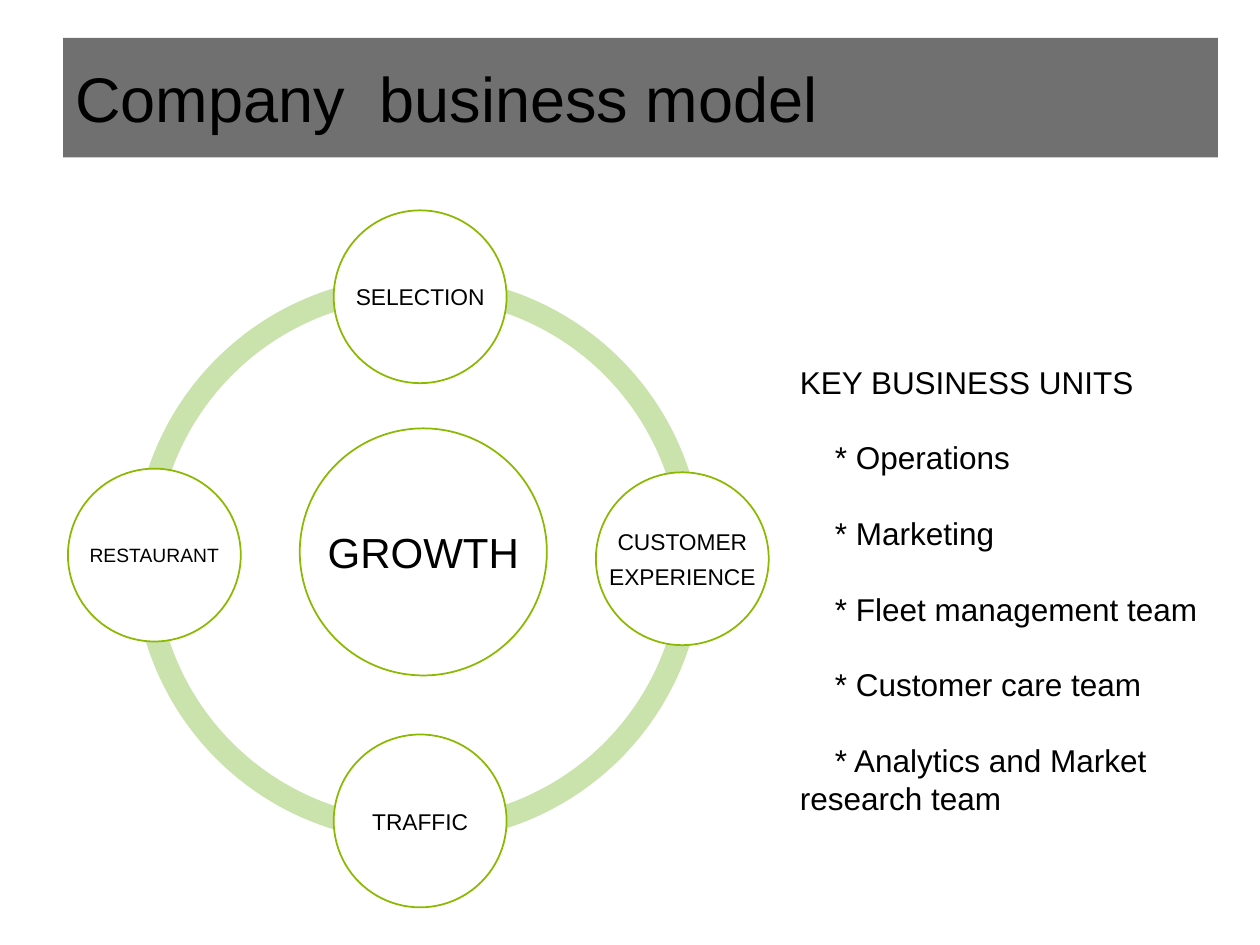
"""Build the company business model slide: a growth cycle and a list of units."""
from pptx import Presentation
from pptx.dml.color import RGBColor
from pptx.enum.shapes import MSO_SHAPE
from pptx.enum.text import MSO_ANCHOR, PP_ALIGN
from pptx.util import Pt

RECTANGLE, OVAL, BLOCK_ARC = MSO_SHAPE.RECTANGLE, MSO_SHAPE.OVAL, MSO_SHAPE.BLOCK_ARC
MIDDLE = MSO_ANCHOR.MIDDLE
LEFT, CENTER = PP_ALIGN.LEFT, PP_ALIGN.CENTER
BLACK = RGBColor(0x00, 0x00, 0x00)
WHITE = RGBColor(0xFF, 0xFF, 0xFF)
GRAY = RGBColor(0x70, 0x70, 0x70)
GREEN = RGBColor(0x8B, 0xB9, 0x00)
PALE_GREEN = RGBColor(0xCA, 0xE2, 0xAB)


def add_filled(kind, left, top, width, height, fill, line=None):
    shape = page.shapes.add_shape(kind, Pt(left), Pt(top), Pt(width), Pt(height))
    shape.shadow.inherit = False
    shape.fill.solid()
    shape.fill.fore_color.rgb = fill
    if line is None:
        shape.line.fill.background()
    else:
        shape.line.color.rgb = line
        shape.line.width = Pt(1)
    return shape


def write_lines(frame, lines, size, align, gap=0):
    for index, line in enumerate(lines):
        para = frame.paragraphs[0] if index == 0 else frame.add_paragraph()
        para.text = line
        para.alignment = align
        para.space_after = Pt(gap)
        para.font.name = "Arial"
        para.font.size = Pt(size)
        para.font.color.rgb = BLACK


deck = Presentation()
deck.slide_width, deck.slide_height = Pt(720), Pt(540)
page = deck.slides.add_slide(deck.slide_layouts[6])

title = add_filled(RECTANGLE, 36, 21.6, 660, 68.4, GRAY)
title.text_frame.vertical_anchor = MIDDLE
write_lines(title.text_frame, ["Company  business model"], 36, LEFT)

arcs = [(78.5, 162, 0), (78.5, 0, 54), (76.3, 53.51, 108.52), (76.3, 108.51, 162.49)]
for left, start, end in arcs:
    arc = add_filled(BLOCK_ARC, left, 157.7, 323.3, 323.3, PALE_GREEN)
    for index, value in enumerate((start, end, 0.04)):
        arc.adjustments[index] = value

circles = [
    (["GROWTH"], 241.9, 315.4, 141.2, 24),
    (["SELECTION"], 240.1, 169.6, 98.8, 13),
    (["CUSTOMER", "EXPERIENCE"], 389.9, 319.3, 98.8, 13),
    (["TRAFFIC"], 240.1, 469.1, 98.8, 13),
    (["RESTAURANT"], 88.2, 317.2, 98.8, 11),
]
for lines, center_x, center_y, diameter, size in circles:
    circle = add_filled(OVAL, center_x - diameter / 2, center_y - diameter / 2,
                        diameter, diameter, WHITE, GREEN)
    frame = circle.text_frame
    frame.word_wrap = False
    frame.vertical_anchor = MIDDLE
    frame.margin_left = frame.margin_right = Pt(1.5)
    frame.margin_top = frame.margin_bottom = Pt(1.5)
    write_lines(frame, lines, size, CENTER, gap=0.35 * size)

units = [
    "KEY BUSINESS UNITS",
    "* Operations",
    "* Marketing",
    "* Fleet management team",
    "* Customer care team",
    "* Analytics and Market research team",
]
box = page.shapes.add_textbox(Pt(450), Pt(203.8), Pt(252), Pt(269.3))
box.text_frame.word_wrap = True
write_lines(box.text_frame, units, 18, LEFT, gap=21.6)
for para in box.text_frame.paragraphs:
    para.line_spacing = Pt(21.6)
for para in box.text_frame.paragraphs[1:]:
    para._p.get_or_add_pPr().set("indent", str(Pt(20)))

deck.save("out.pptx")
